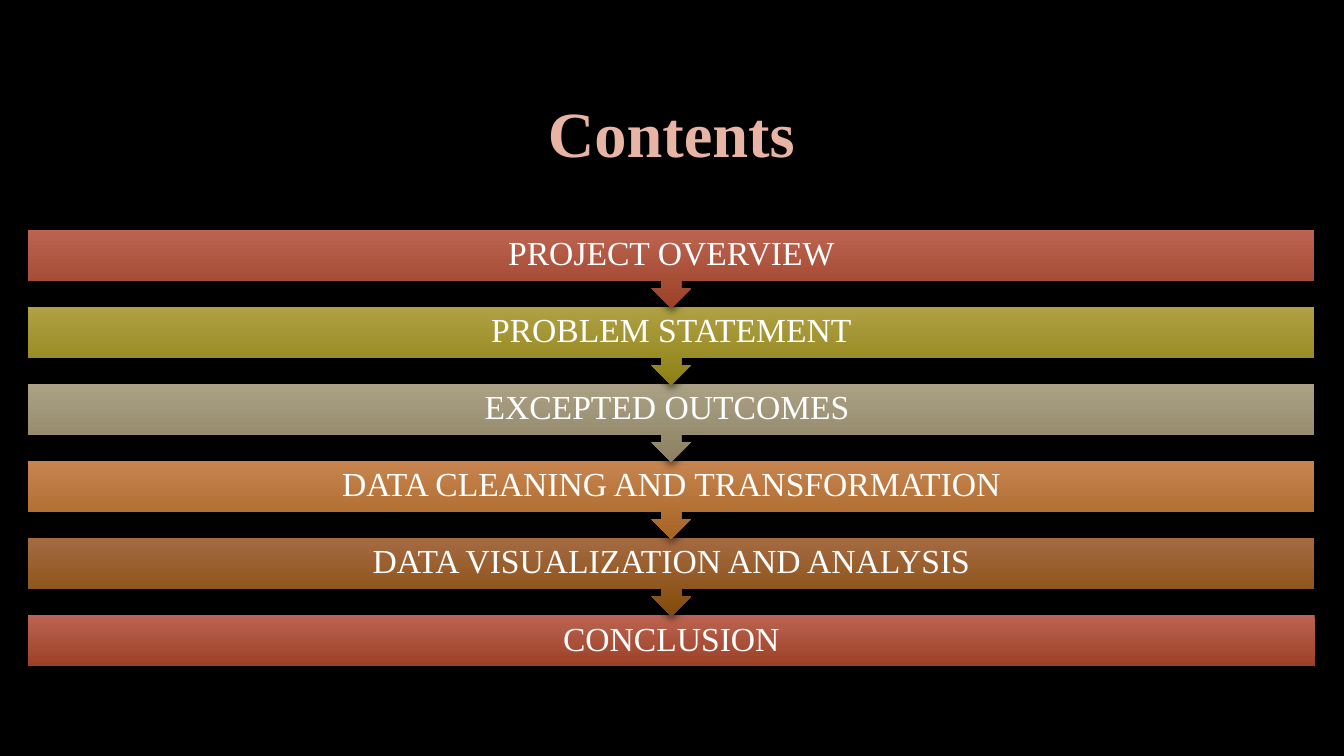
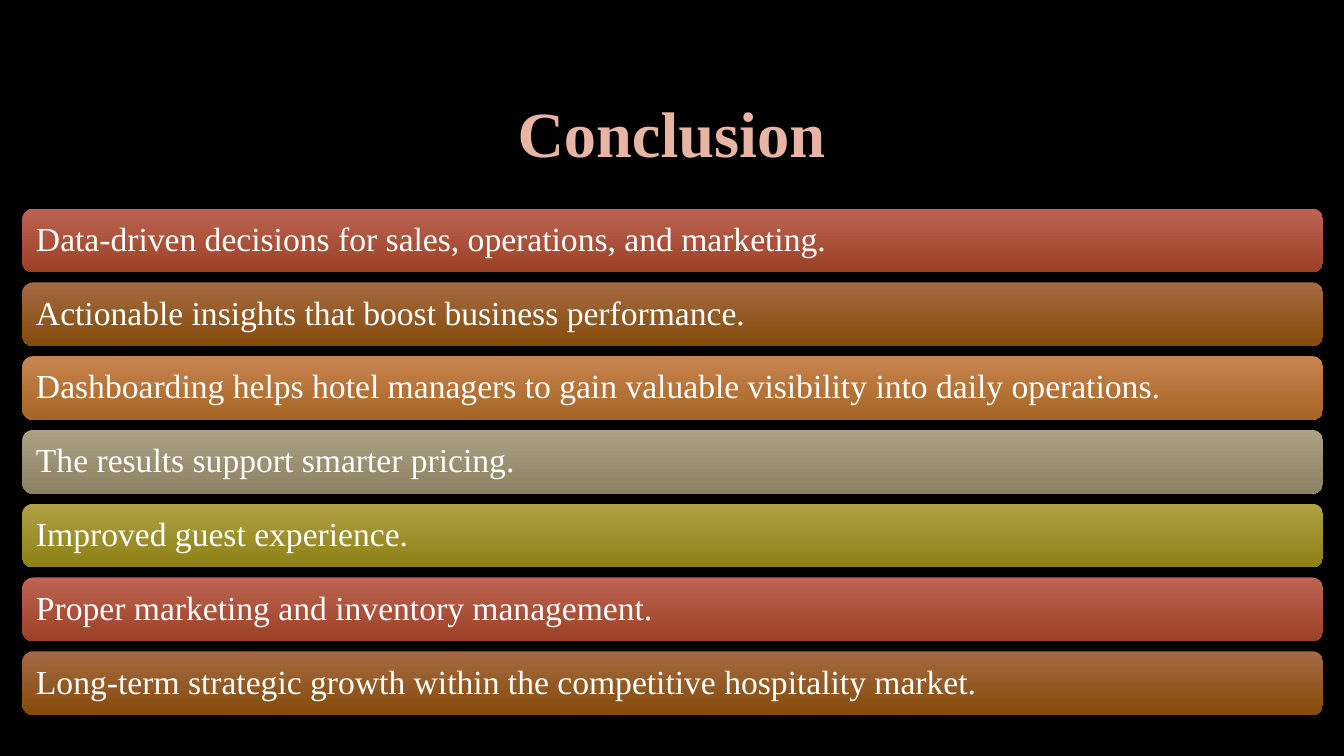
"""Build the contents and conclusion slides."""
from dataclasses import dataclass

from lxml.etree import SubElement as Sub
from pptx import Presentation as Deck
from pptx.dml.color import RGBColor as Rgb
from pptx.enum.shapes import MSO_AUTO_SHAPE_TYPE as Kind
from pptx.enum.text import MSO_ANCHOR as Anchor, PP_ALIGN as Align
from pptx.oxml.ns import qn
from pptx.util import Pt


@dataclass(frozen=True)
class Theme:
    font: str = "Times New Roman"
    back: str = "000000"
    head: str = "E8B4A4"
    edge: str = "B54C2D"
    ink: str = "FFFFFF"
    head_size: float = 46
    text_size: float = 24
    edge_width: float = 1.75
    tints: tuple = (
        ("BC6451", "9C4127"),
        ("B0A144", "8D8015"),
        ("ABA185", "8C8162"),
        ("C78450", "A66523"),
        ("A56A42", "844B0A"),
    )


class Show:
    def __init__(self, theme):
        self.theme = theme
        self.deck = Deck()
        self.deck.slide_width = Pt(960)
        self.deck.slide_height = Pt(540)
        fill = self.deck.slide_master.background.fill
        fill.solid()
        fill.fore_color.rgb = Rgb.from_string(theme.back)
        self.slide = None

    def label(self, frame, text, size, tone, align, bold=False):
        frame.word_wrap = True
        frame.vertical_anchor = Anchor.MIDDLE
        para = frame.paragraphs[0]
        para.alignment = align
        para.line_spacing = 0.9
        run = para.add_run()
        run.text = text
        font = run.font
        font.name = self.theme.font
        font.size = Pt(size)
        font.bold = bold
        font.color.rgb = Rgb.from_string(tone)
        return run

    def page(self, title):
        theme = self.theme
        self.slide = self.deck.slides.add_slide(self.deck.slide_layouts[5])
        head = self.slide.shapes.title
        head.left, head.top, head.width, head.height = Pt(72), Pt(48), Pt(815), Pt(99.5)
        run = self.label(head.text_frame, title, theme.head_size, theme.head,
                         Align.CENTER, True)
        props = run.font._element
        line = Sub(props, qn("a:ln"), w=str(Pt(theme.edge_width)))
        Sub(Sub(line, qn("a:solidFill")), qn("a:srgbClr"), val=theme.edge)
        props.insert(0, line)

    def shade(self, shape, alpha, blur, drop):
        shape.shadow.inherit = False
        box = shape._element.spPr.find(qn("a:effectLst"))
        cast = Sub(box, qn("a:outerShdw"), blurRad=str(Pt(blur)), dist=str(Pt(drop)),
                   dir="5400000", rotWithShape="0")
        tone = Sub(cast, qn("a:srgbClr"), val=self.theme.back)
        Sub(tone, qn("a:alpha"), val=str(alpha * 1000))

    def bar(self, kind, spot, text, tint, align, shade):
        shape = self.slide.shapes.add_shape(kind, *map(Pt, spot))
        shape.line.fill.background()
        fill = shape.fill
        fill.gradient()
        fill.gradient_angle = 270
        tints = self.theme.tints
        for stop, tone in zip(fill.gradient_stops, tints[tint % len(tints)]):
            stop.color.rgb = Rgb.from_string(tone)
        self.shade(shape, *shade)
        frame = shape.text_frame
        frame.margin_left = frame.margin_right = Pt(7.5)
        frame.margin_top = frame.margin_bottom = Pt(0)
        self.label(frame, text, self.theme.text_size, self.theme.ink, align)

    def flow(self, items):
        last = len(items) - 1
        for i, text in reversed(list(enumerate(items))):
            kind, tall = ((Kind.RECTANGLE, 36.5) if i == last
                          else (Kind.DOWN_ARROW_CALLOUT, 56))
            self.bar(kind, (20, 164 + 55 * i, 919, tall), text, i,
                     Align.CENTER, (60, 5, 2))

    def stack(self, items):
        for i, text in enumerate(items):
            self.bar(Kind.ROUNDED_RECTANGLE, (16, 149 + 52.7 * i, 929, 45.5),
                     text, -i, Align.LEFT, (75, 6, 3))


def main():
    show = Show(Theme())
    show.page("Contents")
    show.flow([
        "PROJECT OVERVIEW",
        "PROBLEM STATEMENT",
        "EXCEPTED OUTCOMES ",
        "DATA CLEANING AND TRANSFORMATION",
        "DATA VISUALIZATION AND ANALYSIS",
        "CONCLUSION",
    ])
    show.page("Conclusion")
    show.stack([
        "Data-driven decisions for sales, operations, and marketing.",
        "Actionable insights that boost business performance.",
        "Dashboarding helps hotel managers to gain valuable visibility into daily operations.",
        "The results support smarter pricing.",
        "Improved guest experience.",
        "Proper marketing and inventory management.",
        "Long-term strategic growth within the competitive hospitality market.",
    ])
    show.deck.save("out.pptx")


if __name__ == "__main__":
    main()
